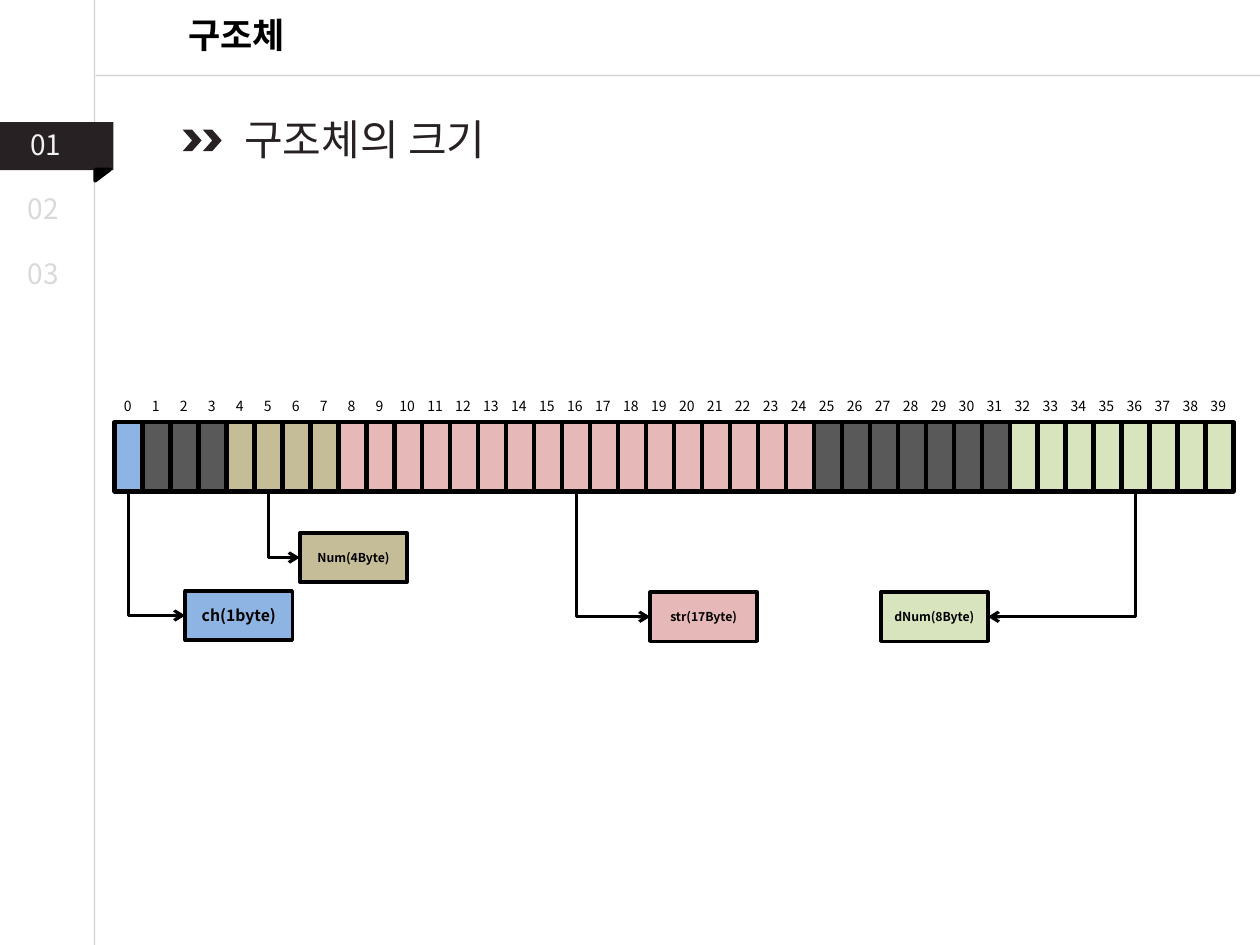
from lxml import etree
from pptx import Presentation
from pptx import util as u
from pptx.dml.color import RGBColor
from pptx.enum import shapes, text
from pptx.oxml.ns import qn

INK = {
    "black": "000000", "dark": "272123", "rule": "A6A6A6",
    "light": "F2F2F2", "faint": "D9D9D9",
    "ch": "8EB4E3", "pad": "595959", "num": "C4BD97",
    "str": "E6B9B8", "dnum": "D7E4BD",
}
KIND = shapes.MSO_SHAPE
MID = text.PP_ALIGN.CENTER


def box(*sizes):
    return [u.Inches(s) for s in sizes]


def rgb(name):
    return RGBColor.from_string(INK[name])


class Deck:
    font = "Noto Sans CJK KR"

    def __init__(self):
        self.prs = Presentation()
        self.prs.slide_width, self.prs.slide_height = box(10, 7.5)
        self.slide = self.prs.slides.add_slide(self.prs.slide_layouts[5])

    def letter(self, frame, words, size, ink="black", bold=False, align=None):
        """Set the text of a frame in the deck's font."""
        frame.text = words
        para = frame.paragraphs[0]
        para.alignment = align
        run = para.runs[0]
        run.font.name, run.font.size, run.font.bold = self.font, u.Pt(size), bold
        run.font.color.rgb = rgb(ink)
        east = etree.SubElement(run.font._element, qn("a:ea"))
        east.set("typeface", self.font)

    def fit(self, frame, wrap=True):
        frame.word_wrap = wrap
        frame.auto_size = text.MSO_AUTO_SIZE.SHAPE_TO_FIT_TEXT
        frame.vertical_anchor = text.MSO_ANCHOR.TOP

    def title(self, words, at, size):
        head = self.slide.shapes.title
        head.left, head.top, head.width, head.height = box(*at)
        self.letter(head.text_frame, words, size, bold=True, align=MID)
        self.fit(head.text_frame)

    def label(self, words, at, size, ink="black", wrap=True):
        frame = self.slide.shapes.add_textbox(*box(*at)).text_frame
        self.letter(frame, words, size, ink)
        self.fit(frame, wrap)

    def shape(self, kind, at, fill, line=0):
        item = self.slide.shapes.add_shape(kind, *box(*at))
        item.shadow.inherit = False
        item.fill.solid()
        item.fill.fore_color.rgb = rgb(fill)
        if line:
            item.line.color.rgb = rgb("black")
            item.line.width = u.Pt(line)
        else:
            item.line.fill.background()
        return item

    def line(self, kind, ends, ink, width):
        item = self.slide.shapes.add_connector(kind, *box(*ends))
        item.line.color.rgb = rgb(ink)
        item.line.width = u.Pt(width)
        etree.SubElement(item._element.spPr, qn("a:effectLst"))
        return item

    def rule(self, *ends):
        """Half-transparent thin line."""
        item = self.line(shapes.MSO_CONNECTOR.STRAIGHT, ends, "rule", 0.75)
        tint = item._element.spPr.find(".//" + qn("a:srgbClr"))
        etree.SubElement(tint, qn("a:alpha")).set("val", "50000")

    def arrow(self, cell, field, side):
        """One-bend arrow: down from the cell, then across to the field."""
        item = self.line(shapes.MSO_CONNECTOR.ELBOW, (0, 0, 1, 1), "black", 1.75)
        item.begin_connect(cell, 2)
        item.end_connect(field, side)
        right = item.end_x > item.begin_x
        mid_x = (item.begin_x + item.end_x) // 2
        mid_y = (item.begin_y + item.end_y) // 2
        wide, high = item.height, item.width
        props = item._element.spPr
        props.find(qn("a:prstGeom")).set("prst", "bentConnector2")
        # The preset runs across then down, so it is turned a quarter.
        frame = props.find(qn("a:xfrm"))
        for flip in ("flipH", "flipV"):
            frame.attrib.pop(flip, None)
        frame.set("rot", "16200000" if right else "5400000")
        if right:
            frame.set("flipH", "1")
        item.width, item.height = wide, high
        item.left, item.top = mid_x - wide // 2, mid_y - high // 2
        tip = etree.SubElement(props.find(qn("a:ln")), qn("a:tailEnd"))
        tip.set("type", "arrow")


def frame(deck):
    deck.title("구조체", (0.81, 0.06, 2.14, 0.44), 20)
    deck.rule(0.75, 0, 0.75, 7.5)
    deck.rule(0.76, 0.6, 10, 0.6)
    deck.shape(KIND.RECTANGLE, (-0.01, 0.97, 0.91, 0.38), "dark")
    fold = deck.shape(KIND.RIGHT_TRIANGLE, (0.77, 1.33, 0.09, 0.12), "black", 2)
    fold.rotation = 90
    deck.label("01", (0.14, 0.96, 0.59, 0.37), 16, "light")
    for words, top in (("02", 1.47), ("03", 1.99)):
        deck.label(words, (0.12, top, 0.49, 0.37), 16, "faint")
    for left in (1.45, 1.61):
        deck.shape(KIND.CHEVRON, (left, 1.03, 0.15, 0.17), "dark")
    deck.label("구조체의 크기", (1.84, 0.85, 2.45, 0.5), 24, "dark")


def memory(deck):
    """Draw the 40 numbered bytes and return their cells."""
    runs = (("ch", 1), ("pad", 3), ("num", 4), ("str", 17), ("pad", 7), ("dnum", 8))
    inks = [ink for ink, count in runs for _ in range(count)]
    left, step = 0.91, 8.88 / len(inks)
    cells = []
    for i, ink in enumerate(inks):
        x = left + i * step
        cells.append(deck.shape(KIND.RECTANGLE, (x, 3.35, step, 0.55), ink, 2.5))
        wide = 0.27 if i < 10 else 0.34
        deck.label(str(i), (x + (step - wide) / 2, 3.11, wide, 0.24), 8, wrap=False)
    return cells


def fields(deck, cells):
    rows = (
        ("ch(1byte)", "ch", 1.47, 4.69, 9, 0, 1),
        ("Num(4Byte)", "num", 2.38, 4.23, 7, 5, 1),
        ("str(17Byte)", "str", 5.16, 4.7, 7, 16, 1),
        ("dNum(8Byte)", "dnum", 6.99, 4.7, 7, 36, 3),
    )
    for words, ink, x, y, size, byte, side in rows:
        field = deck.shape(KIND.RECTANGLE, (x, y, 0.85, 0.39), ink, 2)
        deck.letter(field.text_frame, words, size, bold=True, align=MID)
        field.text_frame.vertical_anchor = text.MSO_ANCHOR.MIDDLE
        deck.arrow(cells[byte], field, side)


def main():
    deck = Deck()
    frame(deck)
    fields(deck, memory(deck))
    deck.prs.save("out.pptx")


if __name__ == "__main__":
    main()
